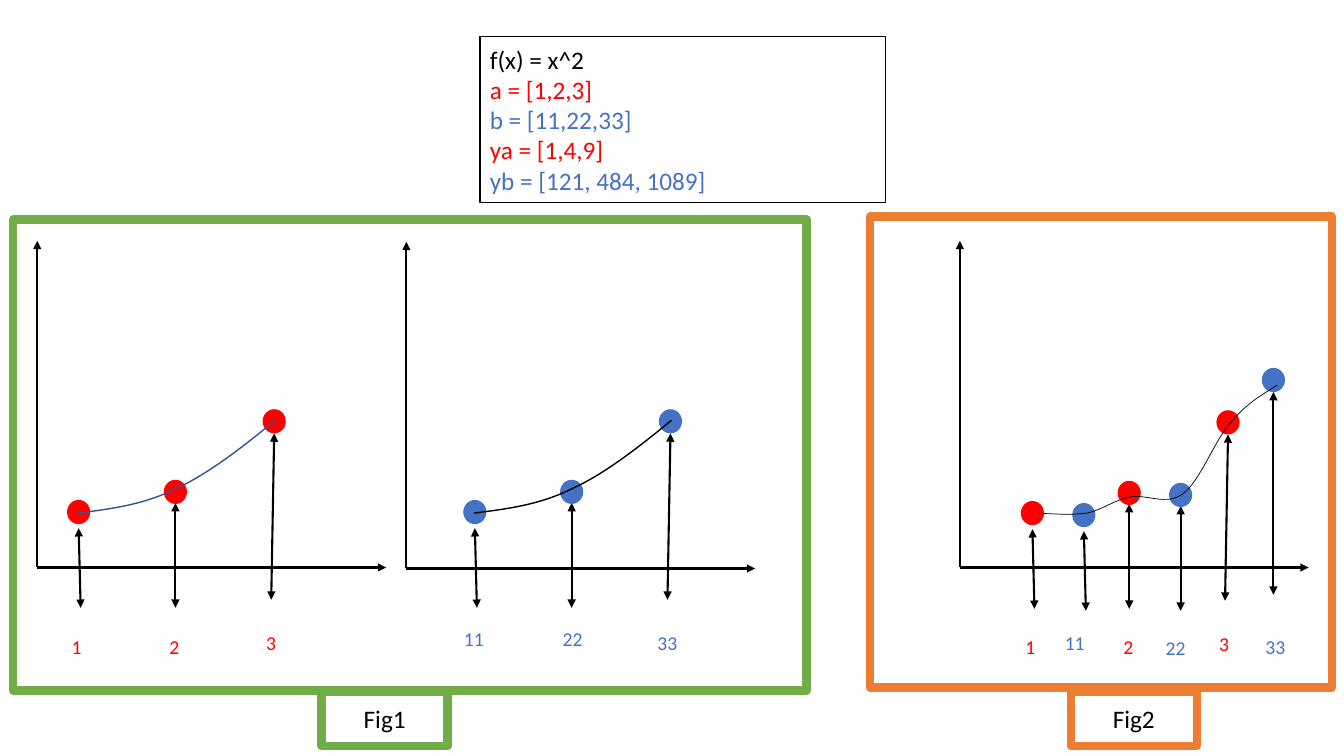
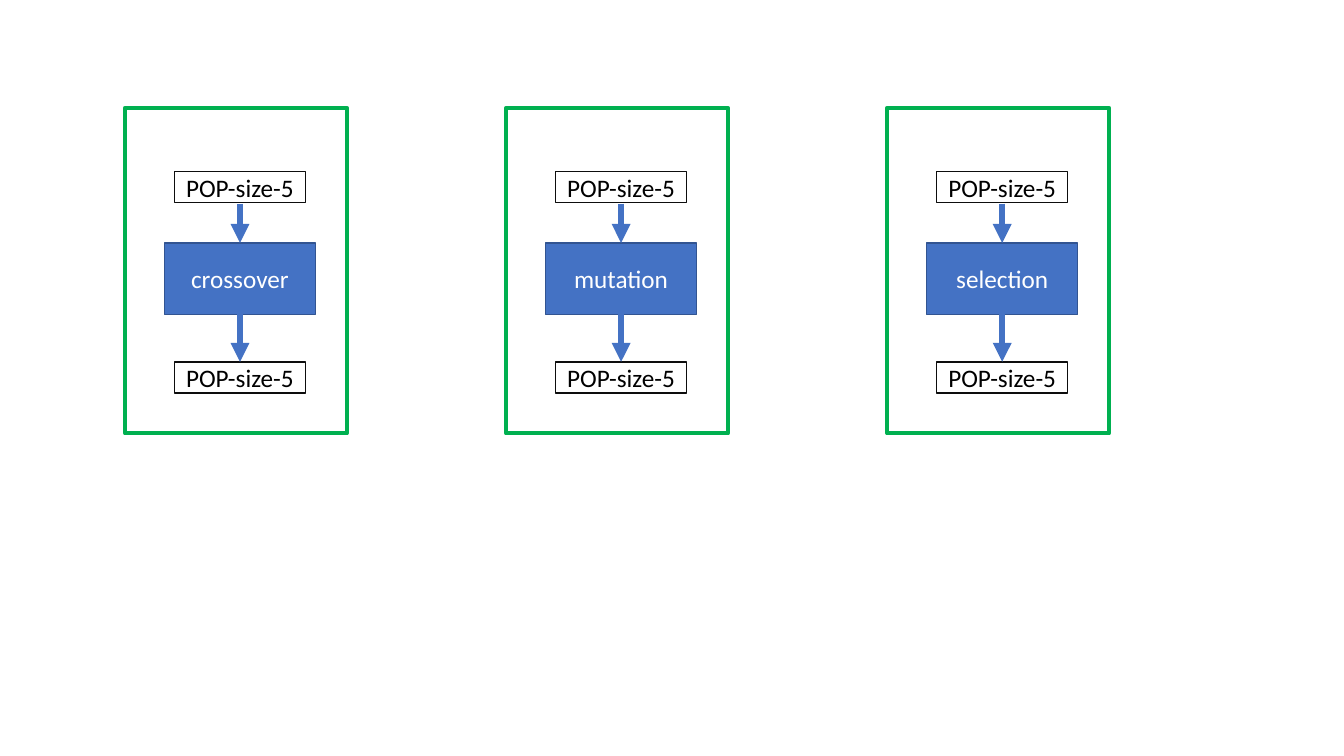
import dataclasses

import lxml.etree
import pptx
import pptx.dml.color
import pptx.enum.shapes
import pptx.enum.text
import pptx.oxml.ns
import pptx.util

Inches = pptx.util.Inches
Pt = pptx.util.Pt
qn = pptx.oxml.ns.qn
Shape = pptx.enum.shapes.MSO_SHAPE
Align = pptx.enum.text.PP_ALIGN


@dataclasses.dataclass(frozen=True)
class Theme:
    font: str = "Calibri"
    body_size: int = 18
    label_size: int = 14
    black: str = "000000"
    white: str = "FFFFFF"
    red: str = "FF0000"
    blue: str = "4472C4"
    dark_blue: str = "325491"
    near_black: str = "0D0D0D"
    green: str = "70AD47"
    orange: str = "ED7D31"
    panel_green: str = "00B050"


THEME = Theme()


def rgb(value):
    return pptx.dml.color.RGBColor.from_string(value)


class Canvas:
    """Draws themed elements on a slide or inside a group; lengths in inches."""

    def __init__(self, shapes, theme):
        self.shapes = shapes
        self.theme = theme

    def group(self):
        return Canvas(self.shapes.add_group_shape().shapes, self.theme)

    def paint(self, shape, fill=None, line=None, width=1):
        shape.shadow.inherit = False
        if fill:
            shape.fill.solid()
            shape.fill.fore_color.rgb = rgb(fill)
        else:
            shape.fill.background()
        if line:
            shape.line.color.rgb = rgb(line)
            shape.line.width = Pt(width)
        else:
            shape.line.fill.background()

    def set_text(self, shape, lines, size, align, inset=0.05):
        """Fill a shape with (text, colour) lines."""
        frame = shape.text_frame
        frame.word_wrap = True
        frame.vertical_anchor = pptx.enum.text.MSO_ANCHOR.MIDDLE
        frame.margin_left = frame.margin_right = Inches(inset)
        for index, (text, colour) in enumerate(lines):
            paragraph = frame.paragraphs[0] if index == 0 else frame.add_paragraph()
            paragraph.text = text
            paragraph.alignment = align
            paragraph.font.name = self.theme.font
            paragraph.font.size = Pt(size)
            paragraph.font.color.rgb = rgb(colour)

    def box(self, left, top, width, height, fill=None, line=None, weight=1,
            text=None, colour=THEME.black):
        box = self.shapes.add_shape(Shape.RECTANGLE, Inches(left), Inches(top),
                                    Inches(width), Inches(height))
        self.paint(box, fill, line, weight)
        if text:
            self.set_text(box, [(text, colour)], self.theme.body_size, Align.CENTER)
        return box

    def dot(self, x, y, colour):
        width, height = 0.23, 0.24
        dot = self.shapes.add_shape(
            Shape.OVAL, Inches(x - width / 2), Inches(y - height / 2),
            Inches(width), Inches(height))
        self.paint(dot, fill=colour)

    def label(self, x, y, text, colour):
        width, height = 0.5, 0.4
        label = self.shapes.add_textbox(Inches(x - width / 2), Inches(y - height / 2),
                                        Inches(width), Inches(height))
        self.set_text(label, [(text, colour)], self.theme.label_size, Align.CENTER)

    def arrow(self, start, end, colour=THEME.black, width=1.5, both_ends=False):
        arrow = self.shapes.add_connector(
            pptx.enum.shapes.MSO_CONNECTOR.STRAIGHT,
            *(Inches(length) for length in (*start, *end)))
        arrow.line.color.rgb = rgb(colour)
        arrow.line.width = Pt(width)
        outline = arrow.element.spPr.find(qn("a:ln"))
        for tip in ("a:headEnd", "a:tailEnd") if both_ends else ("a:tailEnd",):
            lxml.etree.SubElement(outline, qn(tip), type="triangle")
        lxml.etree.SubElement(arrow.element.spPr, qn("a:effectLst"))

    def curve(self, points, colour, width, dx=0):
        """Bezier line: a start, then two handles and an end per segment."""
        start, *rest = [(Inches(x + dx), Inches(y)) for x, y in points]
        builder = self.shapes.build_freeform(*start)
        builder.add_line_segments(rest, close=False)
        curve = builder.convert_to_shape()
        segments = list(curve.element.iter(qn("a:lnTo")))
        for first in range(0, len(segments), 3):
            bezier, *others = segments[first:first + 3]
            cubic = lxml.etree.Element(qn("a:cubicBezTo"))
            bezier.addprevious(cubic)
            for segment in (bezier, *others):
                cubic.append(segment[0])
                segment.getparent().remove(segment)
        self.paint(curve, line=colour, width=width)

    def axes(self, x, y):
        axes = self.group()
        axes.arrow((x, y), (x + 3.46, y))
        axes.arrow((x, y), (x, y - 3.24))

    def series(self, marks, colour, dx, dy, labels):
        """Dots with their arrows, moved by dx and dy, and labels in place."""
        for (dot, top, foot), (text, x, y) in zip(marks, labels):
            self.arrow((top[0] + dx, top[1] + dy), (foot[0] + dx, foot[1] + dy),
                       both_ends=True)
            self.dot(dot[0] + dx, dot[1] + dy, colour)
            self.label(x, y, text, colour)

    def figure(self, left, top, width, tab_left, name, colour):
        self.box(left, top, width, 4.67, line=colour, weight=6)
        self.box(tab_left, 6.86, 1.25, 0.54, line=colour, weight=6, text=name)


# Dot centre, arrow top and arrow foot of each sample
MARKS = (
    ((0.78, 5.08), (0.78, 5.24), (0.8, 6.03)),
    ((1.74, 4.88), (1.74, 4.99), (1.74, 6.03)),
    ((2.72, 4.18), (2.72, 4.3), (2.69, 5.95)),
)
HIGH_MARK = ((2.66, 3.74), (2.66, 3.86), (2.66, 5.87))
PARABOLA = ((0.77, 5.09), (1.09, 5.05), (1.42, 5.01), (1.74, 4.85),
            (2.07, 4.7), (2.4, 4.44), (2.73, 4.17))
MERGED_CURVE = (
    (10.29, 5.09), (10.46, 5.1), (10.63, 5.11), (10.78, 5.09),
    (10.93, 5.06), (11.05, 4.96), (11.21, 4.93),
    (11.37, 4.9), (11.57, 5.02), (11.73, 4.9),
    (11.9, 4.78), (12.04, 4.38), (12.2, 4.2),
    (12.35, 4.01), (12.51, 3.92), (12.67, 3.82))


def draw_functions(canvas):
    theme = canvas.theme
    formulas = canvas.box(4.76, 0.36, 4.02, 1.65, theme.white, theme.black)
    canvas.set_text(formulas, [
        ("f(x) = x^2", theme.black),
        ("a = [1,2,3]", theme.red),
        ("b = [11,22,33]", theme.blue),
        ("ya = [1,4,9]", theme.red),
        ("yb = [121, 484, 1089]", theme.blue),
    ], theme.body_size, Align.LEFT, inset=0.1)

    for x, y in ((0.37, 5.63), (4.03, 5.64), (9.52, 5.63)):
        canvas.axes(x, y)

    blue_shift = 3.93
    canvas.series(MARKS, theme.red, 0, 0,
                  (("1", 0.76, 6.42), ("2", 1.73, 6.42), ("3", 2.69, 6.38)))
    canvas.curve(PARABOLA, theme.dark_blue, 1)
    canvas.series(MARKS, theme.blue, blue_shift, 0,
                  (("11", 4.7, 6.34), ("22", 5.68, 6.34), ("33", 6.62, 6.38)))
    canvas.curve(PARABOLA, theme.black, 1, dx=blue_shift)

    canvas.series(MARKS, theme.red, 9.46, 0.01,
                  (("1", 10.22, 6.42), ("2", 11.19, 6.42), ("3", 12.14, 6.39)))
    canvas.series((*MARKS[:2], HIGH_MARK), theme.blue, 9.97, 0.03,
                  (("11", 10.66, 6.38), ("22", 11.66, 6.43), ("33", 12.65, 6.42)))
    canvas.curve(MERGED_CURVE, theme.black, 0.5)

    canvas.figure(0.13, 2.18, 7.87, 3.19, "Fig1", theme.green)
    canvas.figure(8.63, 2.15, 4.58, 10.62, "Fig2", theme.orange)


def draw_operators(canvas):
    theme = canvas.theme
    for index, operator in enumerate(("crossover", "mutation", "selection")):
        panel = canvas.group()
        left = 1.24 + 3.78 * index
        middle = left + 1.14
        panel.box(middle - 0.75, 2.41, 1.5, 0.71, theme.blue, theme.dark_blue,
                  text=operator, colour=theme.white)
        for top in (1.7, 3.59):
            panel.box(middle - 0.65, top, 1.3, 0.31, line=theme.near_black,
                      text="POP-size-5")
        for start, end in ((2.02, 2.41), (3.12, 3.59)):
            panel.arrow((middle, start), (middle, end), theme.blue, 4.5)
        panel.box(left, 1.07, 2.2, 3.23, line=theme.panel_green, weight=3)


def main():
    deck = pptx.Presentation()
    deck.slide_width = Inches(13.33)
    deck.slide_height = Inches(7.5)
    for draw in (draw_functions, draw_operators):
        slide = deck.slides.add_slide(deck.slide_layouts[6])
        draw(Canvas(slide.shapes, THEME))
    deck.save("out.pptx")


if __name__ == "__main__":
    main()
